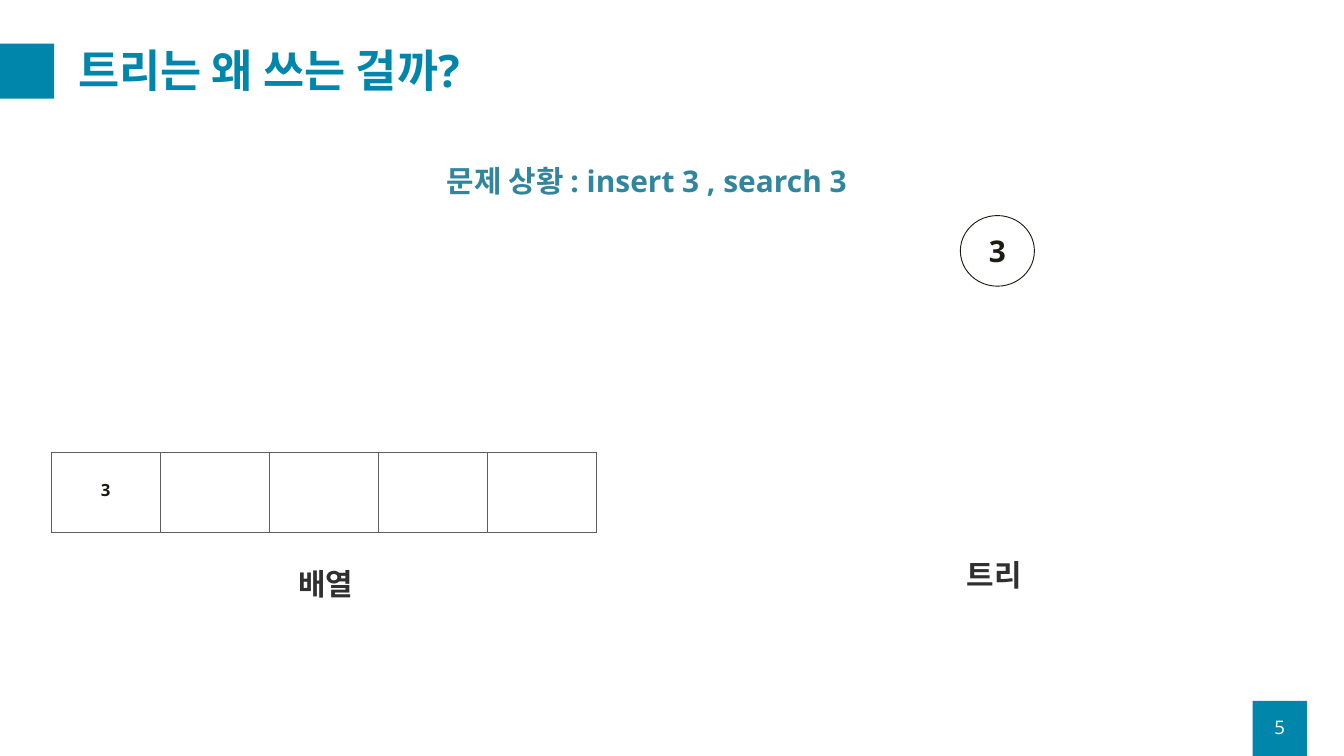
"""Build the slide that compares inserting 3 into an array and into a tree."""
import pptx
import pptx.dml.color
import pptx.enum.shapes
import pptx.enum.text
import pptx.oxml
import pptx.oxml.ns
import pptx.util
from pptx.util import Cm

COLORS = {"teal": "0086AB", "steel": "31859C", "ink": "1E1C11", "label": "303030",
          "border": "5F5F5F", "white": "FFFFFF"}
ALIGN = pptx.enum.text.PP_ALIGN
MIDDLE = pptx.enum.text.MSO_ANCHOR.MIDDLE
SHAPES = pptx.enum.shapes.MSO_SHAPE


def rgb(color):
    return pptx.dml.color.RGBColor.from_string(COLORS[color])


def write(frame, text, size, color, bold=True, align=ALIGN.LEFT):
    frame.text = text
    frame.word_wrap = True
    paragraph = frame.paragraphs[0]
    paragraph.alignment = align
    paragraph.font.name = "Open Sans"
    paragraph.font.size = pptx.util.Pt(size)
    paragraph.font.bold = bold
    paragraph.font.color.rgb = rgb(color)
    return paragraph


deck = pptx.Presentation()
deck.slide_width, deck.slide_height = Cm(50.8), Cm(28.58)
slide = deck.slides.add_slide(deck.slide_layouts[5])

for left, top in [(47.35, 26.5), (0, 1.65)]:
    block = slide.shapes.add_shape(SHAPES.RECTANGLE, Cm(left), Cm(top), Cm(2.05), Cm(2.08))
    block.shadow.inherit = False
    block.fill.solid()
    block.fill.fore_color.rgb = rgb("teal")
    block.line.fill.background()

title = slide.shapes.title
title.left, title.top, title.width, title.height = Cm(2.7), Cm(1.27), Cm(46.35), Cm(3)
title.text_frame.auto_size = pptx.enum.text.MSO_AUTO_SIZE.NONE
title.text_frame.vertical_anchor = MIDDLE
write(title.text_frame, "트리는 왜 쓰는 걸까?", 48, "teal").line_spacing = 0.9

page_number = slide.shapes.add_textbox(Cm(47.35), Cm(26.72), Cm(2.05), Cm(1.52)).text_frame
page_number.vertical_anchor = MIDDLE
write(page_number, "5", 20, "white", bold=False, align=ALIGN.CENTER)

array = slide.shapes.add_table(1, 5, Cm(1.93), Cm(17.12), Cm(20.6), Cm(3)).table
array.first_row = array.horz_banding = False
for slot in array.iter_cells():
    properties = slot._tc.get_or_add_tcPr()
    for side in ("lnL", "lnR", "lnT", "lnB"):
        properties.append(pptx.oxml.parse_xml(
            f'<a:{side} {pptx.oxml.ns.nsdecls("a")} w="12700"><a:solidFill>'
            f'<a:srgbClr val="{COLORS["border"]}"/></a:solidFill></a:{side}>'))
    slot.fill.solid()
    slot.fill.fore_color.rgb = rgb("white")
write(array.cell(0, 0).text_frame, "3", 18, "ink", align=ALIGN.CENTER).line_spacing = 2.0

for text, left, top, width, height, color in [
    ("배열", 11.02, 21.26, 3.48, 4.37, "label"),
    ("트리", 36.3, 20.93, 3.48, 1.63, "label"),
    ("문제 상황 : insert 3 , search 3", 16.64, 6.02, 37.74, 1.63, "steel"),
]:
    caption = slide.shapes.add_textbox(Cm(left), Cm(top), Cm(width), Cm(height))
    write(caption.text_frame, text, 32, color)

root_node = slide.shapes.add_shape(SHAPES.OVAL, Cm(36.3), Cm(8.15), Cm(2.8), Cm(2.67))
root_node.shadow.inherit = False
root_node.fill.background()
root_node.line.color.rgb = rgb("ink")
root_node.line.width = pptx.util.Pt(1)
root_node.text_frame.vertical_anchor = MIDDLE
write(root_node.text_frame, "3", 32, "ink", align=ALIGN.CENTER)

deck.save("out.pptx")
